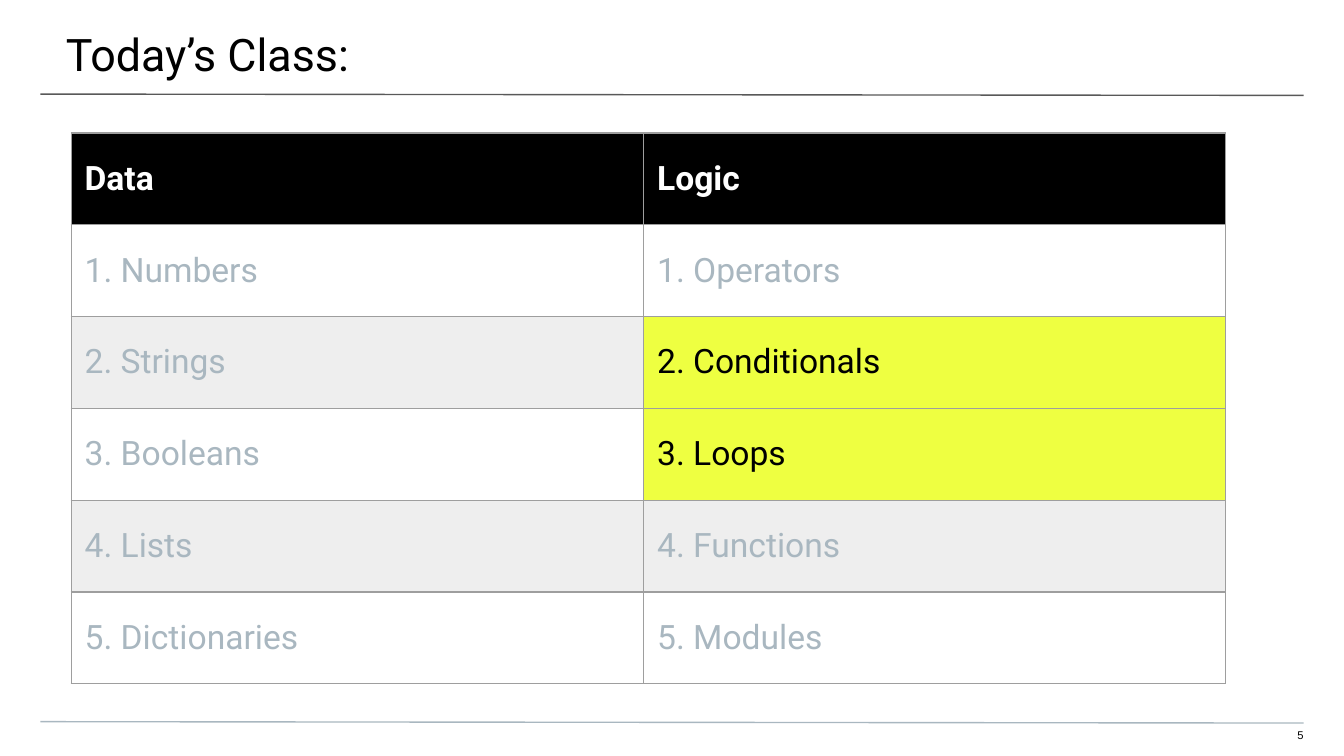
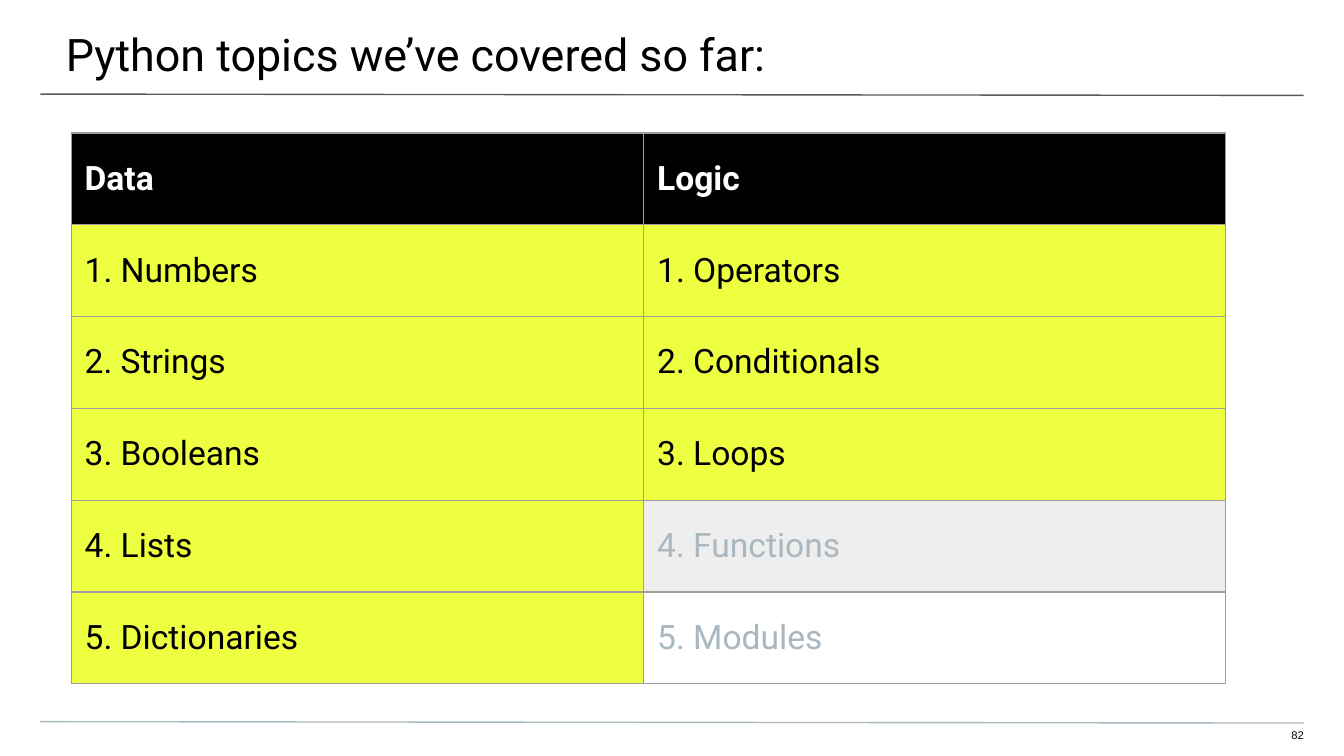
"""Build two slides that track course topics in a two-column table."""
from itertools import product
from lxml.etree import SubElement as Sub
from pptx import Presentation
from pptx.dml.color import RGBColor as RGB
from pptx.enum.shapes import MSO_CONNECTOR as Link
from pptx.enum.text import MSO_ANCHOR as Anchor, PP_ALIGN as Align
from pptx.oxml.ns import qn
from pptx.util import Inches as In, Pt

HUES = {"ink": "000000", "paper": "FFFFFF", "rule": "595959", "mute": "A9B7C0",
        "grid": "9E9E9E", "band": "EEEEEE", "glow": "EEFF41"}
WIDE = 10
HIGH = WIDE * 9 / 16
EDGE = 0.03 * WIDE
LEFT, TOP = 0.53, 0.99
COLS = (4.26, 4.33)
HEADS = ("Data", "Logic")
TOPICS = (("Numbers", "Strings", "Booleans", "Lists", "Dictionaries"),
          ("Operators", "Conditionals", "Loops", "Functions", "Modules"))
ROWS = len(TOPICS[0]) + 1
ROW = 4.1 / ROWS
RULES = ((0.7, "rule"), (5.37, "mute"))
SLIDES = (("Today’s Class:", "5", ((), (2, 3))),
          ("Python topics we’ve covered so far:", "82", ((1, 2, 3, 4, 5), (1, 2, 3))))


def write(para, text, size, hue="ink", face="Roboto", bold=False):
    run = para.add_run()
    run.text = text
    font = run.font
    font.name, font.size, font.bold = face, Pt(size), bold
    font.color.rgb = RGB.from_string(HUES[hue])


def box(slide, place, pads):
    frame = slide.shapes.add_textbox(*map(In, place)).text_frame
    frame.word_wrap = True
    frame.margin_left, frame.margin_top, frame.margin_right, frame.margin_bottom = map(In, pads)
    return frame.paragraphs[0]


deck = Presentation()
deck.slide_width, deck.slide_height = In(WIDE), In(HIGH)

for title, number, lit in SLIDES:
    slide = deck.slides.add_slide(deck.slide_layouts[6])
    slide.background.fill.solid()
    slide.background.fill.fore_color.rgb = RGB.from_string(HUES["paper"])

    for y, hue in RULES:
        rule = slide.shapes.add_connector(
            Link.STRAIGHT, In(EDGE), In(y), In(WIDE - EDGE), In(y + 0.01))
        rule.line.color.rgb = RGB.from_string(HUES[hue])
        rule.line.width = Pt(0.75)
        Sub(rule._element.spPr, qn("a:effectLst"))

    write(box(slide, (-0.01, 0, 10.03, 0.58), (0.5, 0.2, 0.3, 0.1)), title, 24)
    para = box(slide, (WIDE - EDGE - 0.29, 5.42, 0.29, 0.12), (0, 0, 0, 0.1))
    para.alignment = Align.RIGHT
    write(para, number, 6, face="Arial")

    table = slide.shapes.add_table(
        ROWS, len(COLS), In(LEFT), In(TOP), In(sum(COLS)), In(ROWS * ROW)).table
    for col, width in zip(table.columns, COLS):
        col.width = In(width)
    for row in table.rows:
        row.height = In(ROW)

    for r, c in product(range(ROWS), range(len(COLS))):
        cell = table.cell(r, c)
        cell.vertical_anchor = Anchor.MIDDLE
        cell.margin_left = cell.margin_right = In(0.1)
        cell.margin_top = cell.margin_bottom = 0
        if r == 0:
            text, hue, fill = HEADS[c], "paper", "ink"
        else:
            text = f"{r}. {TOPICS[c][r - 1]}"
            hue, fill = "mute", "paper" if r % 2 else "band"
            if r in lit[c]:
                hue, fill = "ink", "glow"
        write(cell.text_frame.paragraphs[0], text, 18, hue, bold=r == 0)
        for side in "LRTB":
            line = Sub(cell._tc.get_or_add_tcPr(), qn(f"a:ln{side}"), w=str(Pt(0.75)))
            Sub(Sub(line, qn("a:solidFill")), qn("a:srgbClr"), val=HUES["grid"])
        cell.fill.solid()
        cell.fill.fore_color.rgb = RGB.from_string(HUES[fill])

deck.save("out.pptx")
